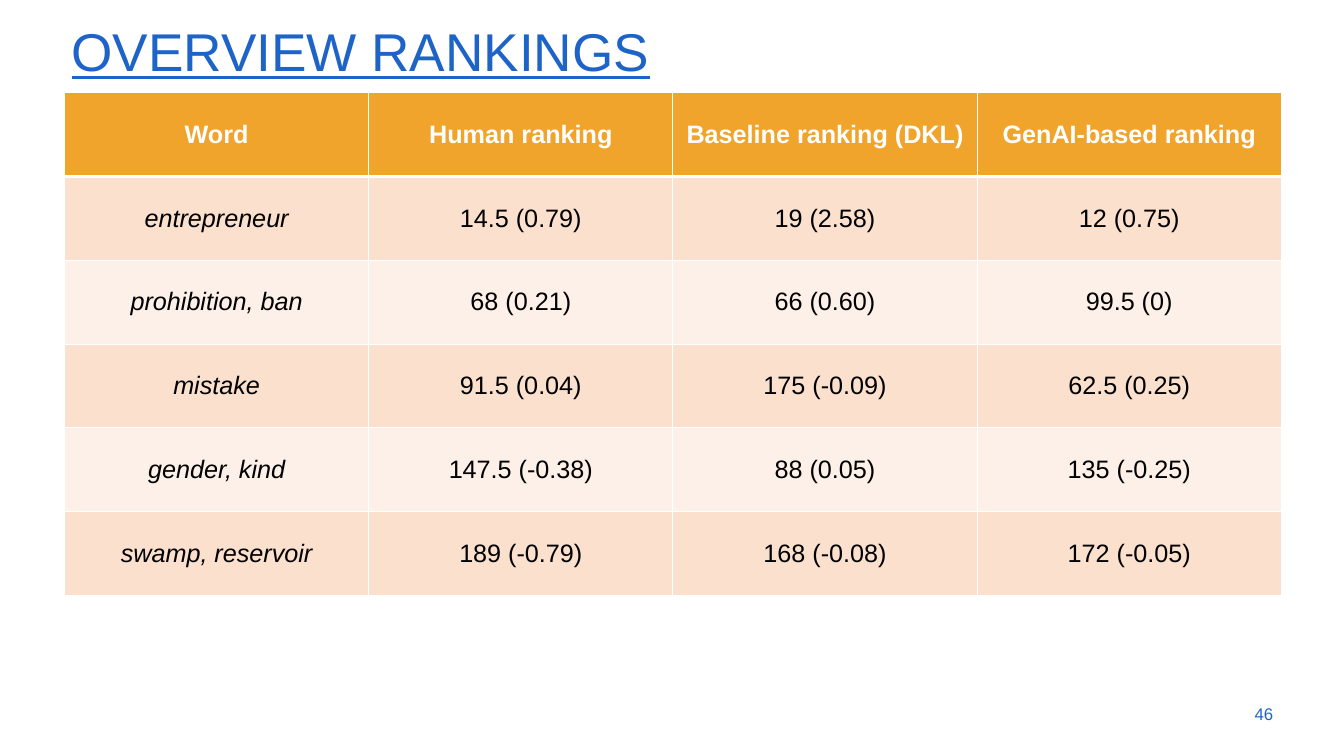
from lxml import etree
from pptx import Presentation
from pptx import util as u
from pptx.dml.color import RGBColor
from pptx.enum import text
from pptx.oxml import ns

HUES = {"blue": "1E64C8", "head": "F1A42B", "odd": "FAE0CD",
        "even": "FCF0E8", "white": "FFFFFF", "black": "000000"}

ROWS = [
    ["Word", "Human ranking", "Baseline ranking (DKL)", "GenAI-based ranking"],
    ["entrepreneur", "14.5 (0.79)", "19 (2.58)", "12 (0.75)"],
    ["prohibition, ban", "68 (0.21)", "66 (0.60)", "99.5 (0)"],
    ["mistake", "91.5 (0.04)", "175 (-0.09)", "62.5 (0.25)"],
    ["gender, kind", "147.5 (-0.38)", "88 (0.05)", "135 (-0.25)"],
    ["swamp, reservoir", "189 (-0.79)", "168 (-0.08)", "172 (-0.05)"],
]


class Deck:
    face = "Arial"

    def __init__(self, width, height):
        self.show = Presentation()
        self.show.slide_width = u.Pt(width)
        self.show.slide_height = u.Pt(height)
        self.slide = self.show.slides.add_slide(self.show.slide_layouts[5])

    def label(self, frame, words, size, hue, align, bold=False, slant=False, line=False):
        frame.text = words
        para = frame.paragraphs[0]
        para.alignment = align
        font = para.runs[0].font
        font.name = self.face
        font.size = u.Pt(size)
        font.color.rgb = RGBColor.from_string(HUES[hue])
        font.bold, font.italic, font.underline = bold, slant, line
        return para

    def title(self, words, left, top, width, height):
        box = self.slide.shapes.title
        box.left, box.top = u.Pt(left), u.Pt(top)
        box.width, box.height = u.Pt(width), u.Pt(height)
        frame = box.text_frame
        frame.word_wrap = True
        frame.auto_size = text.MSO_AUTO_SIZE.NONE
        frame.vertical_anchor = text.MSO_ANCHOR.BOTTOM
        para = self.label(frame, words, 54, "blue", text.PP_ALIGN.LEFT, line=True)
        para.line_spacing = 0.9

    def number(self, words, left, top, width, height):
        box = self.slide.shapes.add_textbox(
            u.Pt(left), u.Pt(top), u.Pt(width), u.Pt(height))
        frame = box.text_frame
        frame.word_wrap = True
        frame.vertical_anchor = text.MSO_ANCHOR.MIDDLE
        self.label(frame, words, 17.1, "blue", text.PP_ALIGN.RIGHT)

    def edge(self, cell, side, width):
        props = cell._tc.get_or_add_tcPr()
        line = etree.SubElement(props, ns.qn(f"a:ln{side}"), w=str(u.Pt(width)))
        fill = etree.SubElement(line, ns.qn("a:solidFill"))
        etree.SubElement(fill, ns.qn("a:srgbClr"), val=HUES["white"])

    def table(self, rows, left, top, wide, high):
        count = len(rows[0])
        grid = self.slide.shapes.add_table(
            len(rows), count, u.Pt(left), u.Pt(top),
            u.Pt(wide * count), u.Pt(high * len(rows))).table
        for col in grid.columns:
            col.width = u.Pt(wide)
        for r, row in enumerate(rows):
            grid.rows[r].height = u.Pt(high)
            head = r == 0
            shade = "head" if head else "odd" if r % 2 else "even"
            for c, words in enumerate(row):
                cell = grid.cell(r, c)
                cell.vertical_anchor = text.MSO_ANCHOR.MIDDLE
                self.label(cell.text_frame, words, 25.6,
                           "white" if head else "black", text.PP_ALIGN.CENTER,
                           bold=head, slant=not head and c == 0)
                for side in "LRTB":
                    thick = (head and side == "B") or (r == 1 and side == "T")
                    self.edge(cell, side, 3 if thick else 1)
                cell.fill.solid()
                cell.fill.fore_color.rgb = RGBColor.from_string(HUES[shade])


def main():
    deck = Deck(1365.12, 768.24)
    deck.title("OVERVIEW RANKINGS", 65.5, 20.2, 1237, 67.7)
    deck.table(ROWS, 65.5, 94.3, 309, 85.1)
    deck.number("46", 1227.6, 705, 72.7, 41)
    deck.show.save("out.pptx")


if __name__ == "__main__":
    main()
